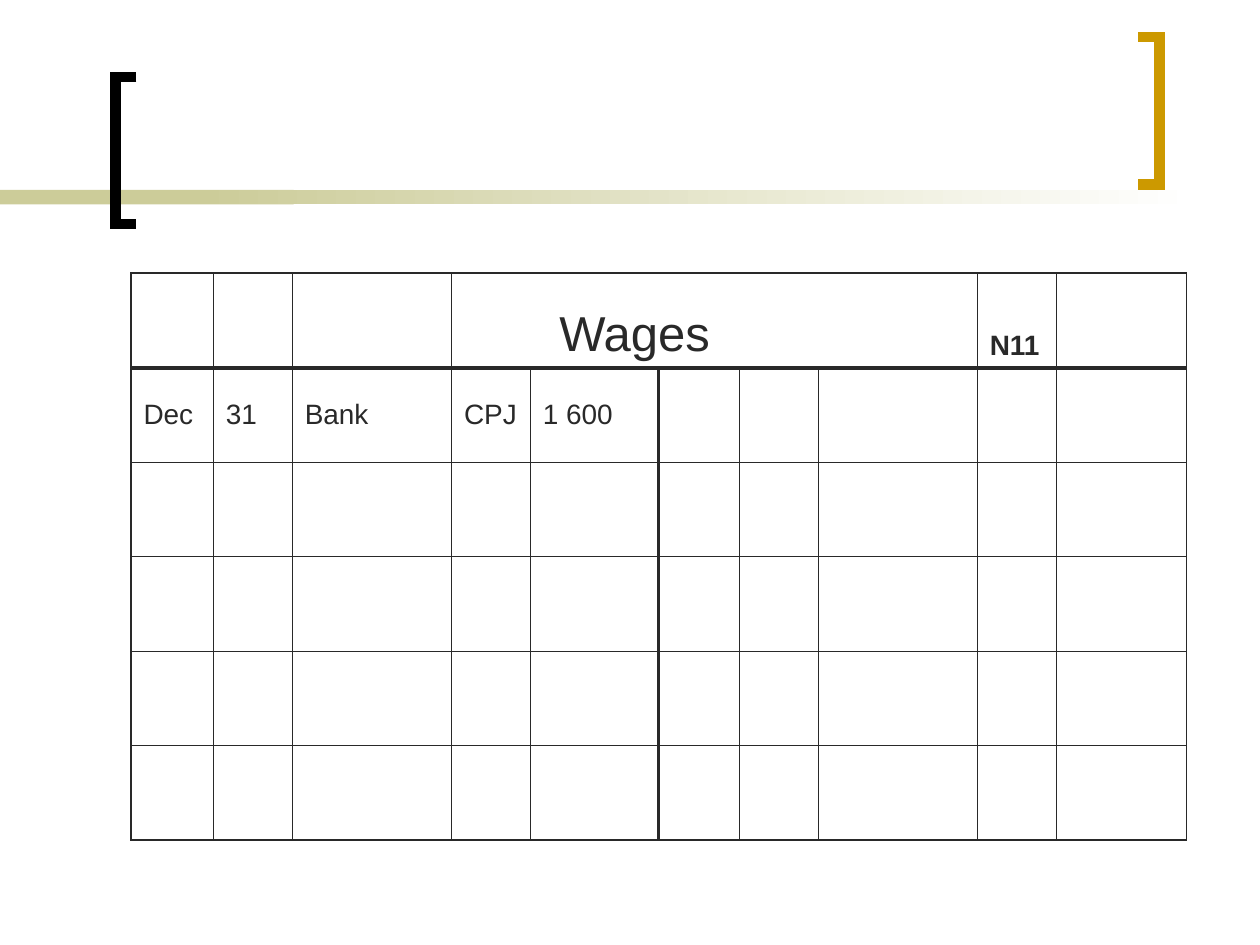
from lxml import etree
from pptx import Presentation
from pptx.dml.color import RGBColor
from pptx.enum.shapes import MSO_SHAPE
from pptx.enum.text import MSO_ANCHOR
from pptx.oxml.ns import qn
from pptx.util import Cm, Pt

RECTANGLE = MSO_SHAPE.RECTANGLE
BOTTOM, MIDDLE = MSO_ANCHOR.BOTTOM, MSO_ANCHOR.MIDDLE

COLORS = {"ink": "292929", "olive": "CCCC99", "white": "FFFFFF",
          "black": "000000", "gold": "CC9900"}
FONT = "Arial"

# Ledger content: (row, column, text, size, bold, indent in cm)
HEADINGS = [(0, 3, "Wages", 28, False, 1.92), (0, 8, "N11", 16, True, 0)]
ENTRY = ["Dec", "31", "Bank", "CPJ", "1 600"]
ENTRIES = [(1, col, text, 16, False, 0) for col, text in enumerate(ENTRY)]

COLUMN_WIDTHS = [1.66, 1.59, 3.21, 1.59, 2.58, 1.63, 1.59, 3.21, 1.59, 2.63]
ROW_COUNT, ROW_HEIGHT = 6, 1.905
TABLE_LEFT, TABLE_TOP = 2.64, 5.51
TITLE_SPAN = (3, 7)
MIDDLE_EDGE = 5
THIN, OUTER, THICK = 0.45, 1.08, 2.21

# Brackets: (x of open ends, x of spine, top, color)
BRACKETS = [(2.75, 2.33, 1.55, "black"), (22.95, 23.37, 0.75, "gold")]
BRACKET_HEIGHT = 2.97
BAND_TOP, BAND_HEIGHT = 3.83, 0.29
BAND_SOLID_WIDTH, BAND_FADE_LEFT, BAND_FADE_WIDTH = 5.92, 4.02, 20.11


def rgb(name):
    return RGBColor.from_string(COLORS[name])


def add_band(slide, left, width):
    band = slide.shapes.add_shape(RECTANGLE, Cm(left), Cm(BAND_TOP),
                                  Cm(width), Cm(BAND_HEIGHT))
    band.shadow.inherit = False
    band.line.fill.background()
    return band


def add_bracket(slide, end_x, spine_x, top, color):
    bottom = top + BRACKET_HEIGHT
    builder = slide.shapes.build_freeform(Cm(end_x), Cm(top))
    builder.add_line_segments([(Cm(spine_x), Cm(top)), (Cm(spine_x), Cm(bottom)),
                               (Cm(end_x), Cm(bottom))], close=False)
    bracket = builder.convert_to_shape()
    bracket.shadow.inherit = False
    bracket.fill.background()
    bracket.line.color.rgb = rgb(color)
    bracket.line.width = Pt(6)
    etree.SubElement(bracket.line._ln, qn("a:miter"), lim="800000")


def vertical_edge(row, edge):
    """Width of the rule at the given column edge."""
    if edge in (0, len(COLUMN_WIDTHS)):
        return OUTER
    return THICK if edge == MIDDLE_EDGE and row > 0 else THIN


def horizontal_edge(edge):
    """Width of the rule at the given row edge."""
    if edge in (0, ROW_COUNT):
        return OUTER
    return THICK if edge == 1 else THIN


def set_borders(cell, row, col):
    widths = {"a:lnL": vertical_edge(row, col), "a:lnR": vertical_edge(row, col + 1),
              "a:lnT": horizontal_edge(row), "a:lnB": horizontal_edge(row + 1)}
    properties = cell._tc.get_or_add_tcPr()
    for tag, width in widths.items():
        line = etree.SubElement(properties, qn(tag), w=str(Pt(width)))
        fill = etree.SubElement(line, qn("a:solidFill"))
        etree.SubElement(fill, qn("a:srgbClr"), val=COLORS["ink"])


def write_cell(cell, text, size, bold, indent):
    para = cell.text_frame.paragraphs[0]
    para.text = text
    if indent:
        para._p.get_or_add_pPr().set("marL", str(Cm(indent)))
    font = para.runs[0].font
    font.name, font.size, font.bold = FONT, Pt(size), bold
    font.color.rgb = rgb("ink")


def add_ledger(slide):
    table = slide.shapes.add_table(
        ROW_COUNT, len(COLUMN_WIDTHS), Cm(TABLE_LEFT), Cm(TABLE_TOP),
        Cm(sum(COLUMN_WIDTHS)), Cm(ROW_COUNT * ROW_HEIGHT)).table
    table.first_row = table.horz_banding = False
    for column, width in zip(table.columns, COLUMN_WIDTHS):
        column.width = Cm(width)
    first, last = TITLE_SPAN
    table.cell(0, first).merge(table.cell(0, last))
    for row in range(ROW_COUNT):
        table.rows[row].height = Cm(ROW_HEIGHT)
        for col in range(len(COLUMN_WIDTHS)):
            cell = table.cell(row, col)
            if cell.is_spanned:
                continue
            cell.vertical_anchor = BOTTOM if row == 0 else MIDDLE
            set_borders(cell, row, col)
            cell.fill.background()
    for row, col, *content in HEADINGS + ENTRIES:
        write_cell(table.cell(row, col), *content)


def main():
    deck = Presentation()
    deck.slide_width, deck.slide_height = Cm(25.4), Cm(19.05)
    slide = deck.slides.add_slide(deck.slide_layouts[6])

    solid = add_band(slide, 0, BAND_SOLID_WIDTH)
    solid.fill.solid()
    solid.fill.fore_color.rgb = rgb("olive")
    fade = add_band(slide, BAND_FADE_LEFT, BAND_FADE_WIDTH)
    fade.fill.gradient()
    fade.fill.gradient_angle = 0
    for stop, color in zip(fade.fill.gradient_stops, ("olive", "white")):
        stop.color.rgb = rgb(color)

    for bracket in BRACKETS:
        add_bracket(slide, *bracket)
    add_ledger(slide)
    deck.save("out.pptx")


if __name__ == "__main__":
    main()
